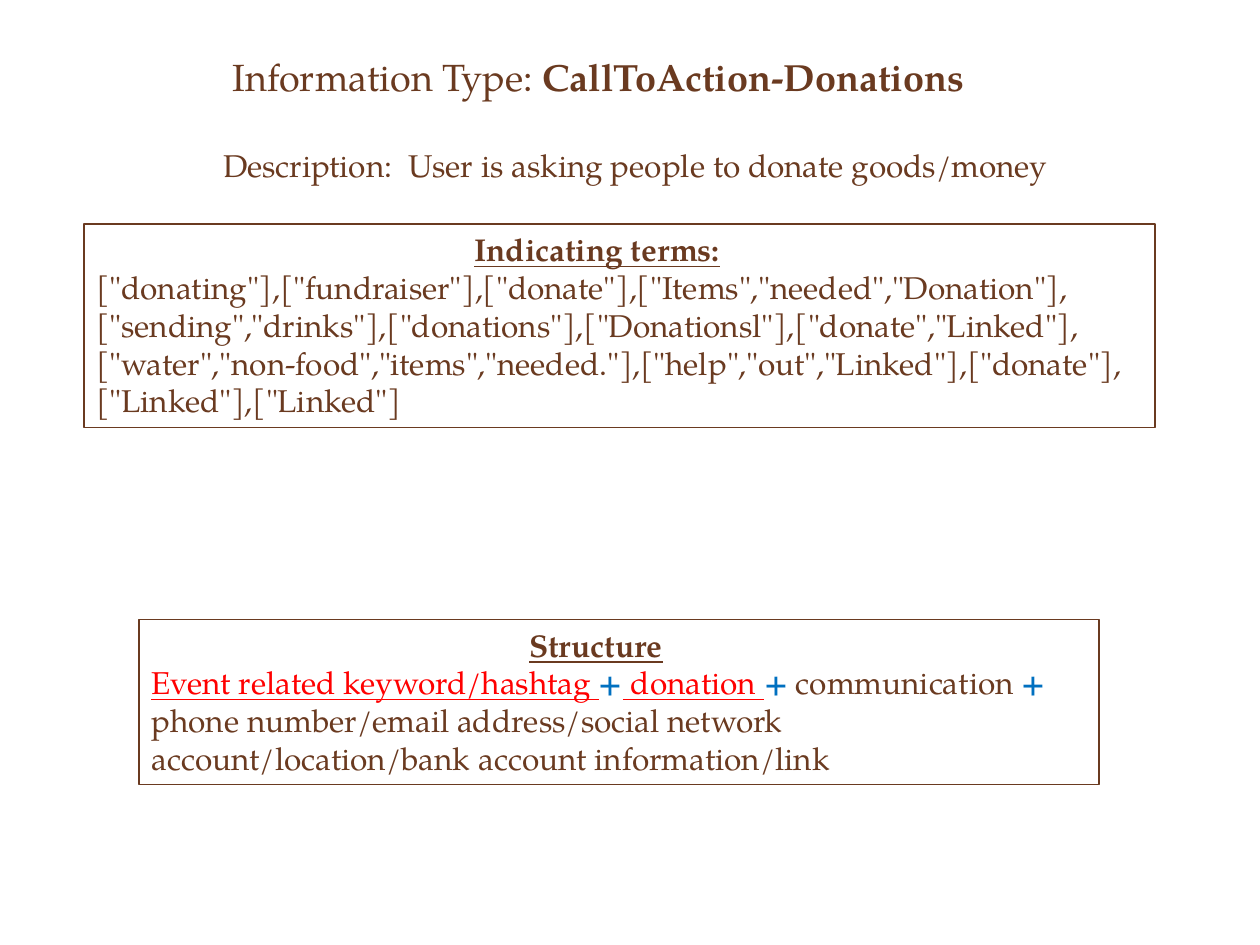
from pptx import Presentation
from pptx.dml.color import RGBColor
from pptx.enum.shapes import MSO_SHAPE
from pptx.enum.text import MSO_ANCHOR, PP_ALIGN
from pptx.util import Pt

BROWN = RGBColor(0x6A, 0x3A, 0x20)
RED = RGBColor(0xFF, 0x00, 0x00)
BLUE = RGBColor(0x00, 0x70, 0xC0)
FONT = "TeX Gyre Pagella"
BODY_SIZE = Pt(18)
HEADING_INDENT = Pt(216)

HEADING = {"bold": True, "underline": True}
KEY = {"color": RED, "underline": True}
PLUS = {"color": BLUE, "bold": True}

TITLE = [("Information Type: ", {}), ("CallToAction-Donations", {"bold": True})]
DESCRIPTION = [("Description:  User is asking people to donate goods/money", {})]
TERMS = (
    '["donating"],["fundraiser"],["donate"],["Items","needed","Donation"],'
    '["sending","drinks"],["donations"],["Donationsl"],["donate","Linked"],'
    '["water","non-food","items","needed."],["help","out","Linked"],'
    '["donate"],["Linked"],["Linked"]'
)
STRUCTURE = [
    ("Event related keyword/hashtag ", KEY),
    ("+", PLUS),
    (" donation ", KEY),
    ("+ ", PLUS),
    ("communication ", {}),
    ("+ ", PLUS),
    ("phone number/email address/social network "
     "account/location/bank account information/link", {}),
]
# left, top, width, height, heading, body runs
PANELS = [
    (48, 128, 612, 116.5, "Indicating terms:", [(TERMS, {})]),
    (79.5, 354, 548.5, 94.5, "Structure", STRUCTURE),
]


def add_runs(paragraph, runs, alignment, size=BODY_SIZE):
    paragraph.alignment = alignment
    for text, changes in runs:
        run = paragraph.add_run()
        run.text = text
        run.font.color.rgb = changes.get("color", BROWN)
        values = {"name": FONT, "size": size, "bold": False, **changes}
        values.pop("color", None)
        for name, value in values.items():
            setattr(run.font, name, value)


def add_panel(slide, left, top, width, height, heading, body):
    """Add an outlined box with an indented heading above its body text."""
    panel = slide.shapes.add_shape(
        MSO_SHAPE.RECTANGLE, Pt(left), Pt(top), Pt(width), Pt(height))
    panel.shadow.inherit = False
    panel.fill.background()
    panel.line.color.rgb = BROWN
    panel.line.width = Pt(0.75)
    frame = panel.text_frame
    frame.word_wrap = True
    frame.vertical_anchor = MSO_ANCHOR.TOP
    heading_paragraph = frame.paragraphs[0]
    add_runs(heading_paragraph, [(heading, HEADING)], PP_ALIGN.LEFT)
    heading_paragraph._p.get_or_add_pPr().set("marL", str(HEADING_INDENT))
    add_runs(frame.add_paragraph(), body, PP_ALIGN.LEFT)


presentation = Presentation()
presentation.slide_width, presentation.slide_height = Pt(720), Pt(540)
slide = presentation.slides.add_slide(presentation.slide_layouts[5])

title = slide.shapes.title
title.left, title.top, title.width, title.height = Pt(120), Pt(24), Pt(444), Pt(36)
title.text_frame.vertical_anchor = MSO_ANCHOR.BOTTOM
add_runs(title.text_frame.paragraphs[0], TITLE, PP_ALIGN.CENTER, Pt(21.6))

description = slide.shapes.add_textbox(Pt(66), Pt(80), Pt(594), Pt(29))
description.text_frame.word_wrap = True
add_runs(description.text_frame.paragraphs[0], DESCRIPTION, PP_ALIGN.CENTER)

for panel in PANELS:
    add_panel(slide, *panel)

presentation.save("out.pptx")
